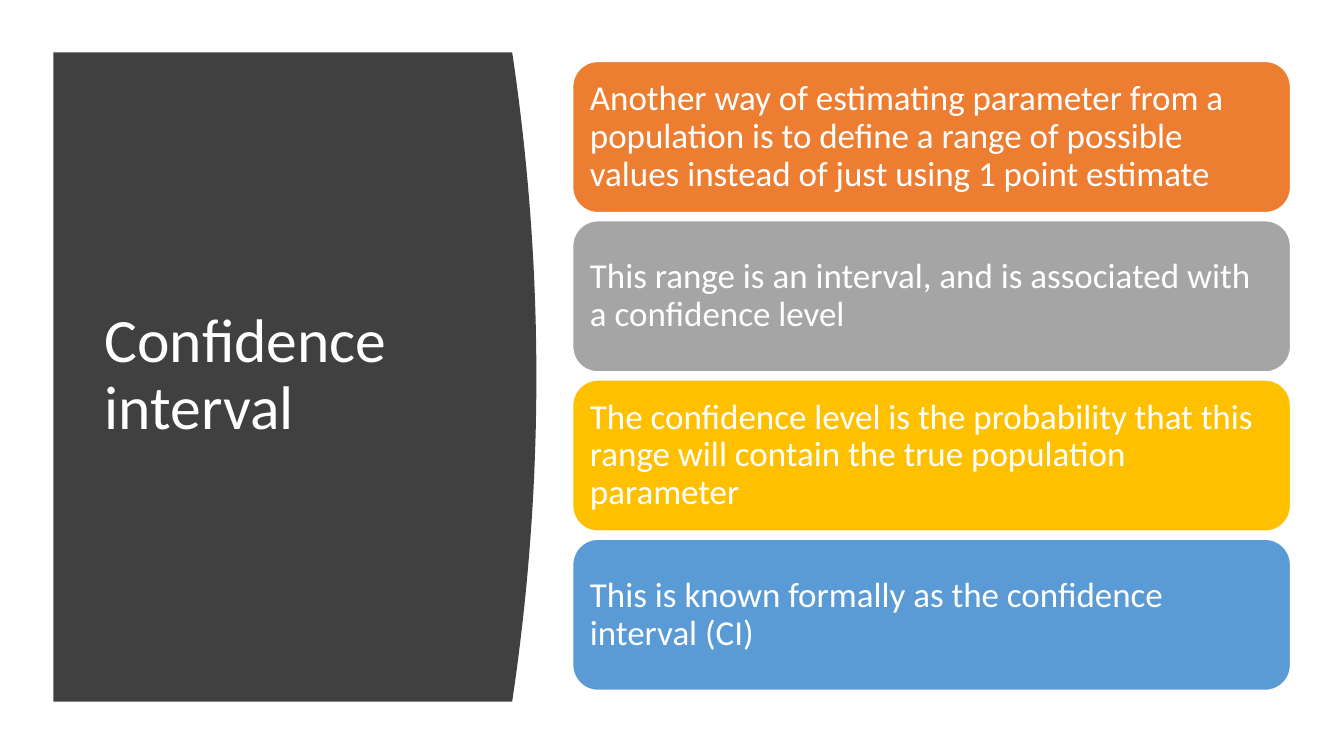
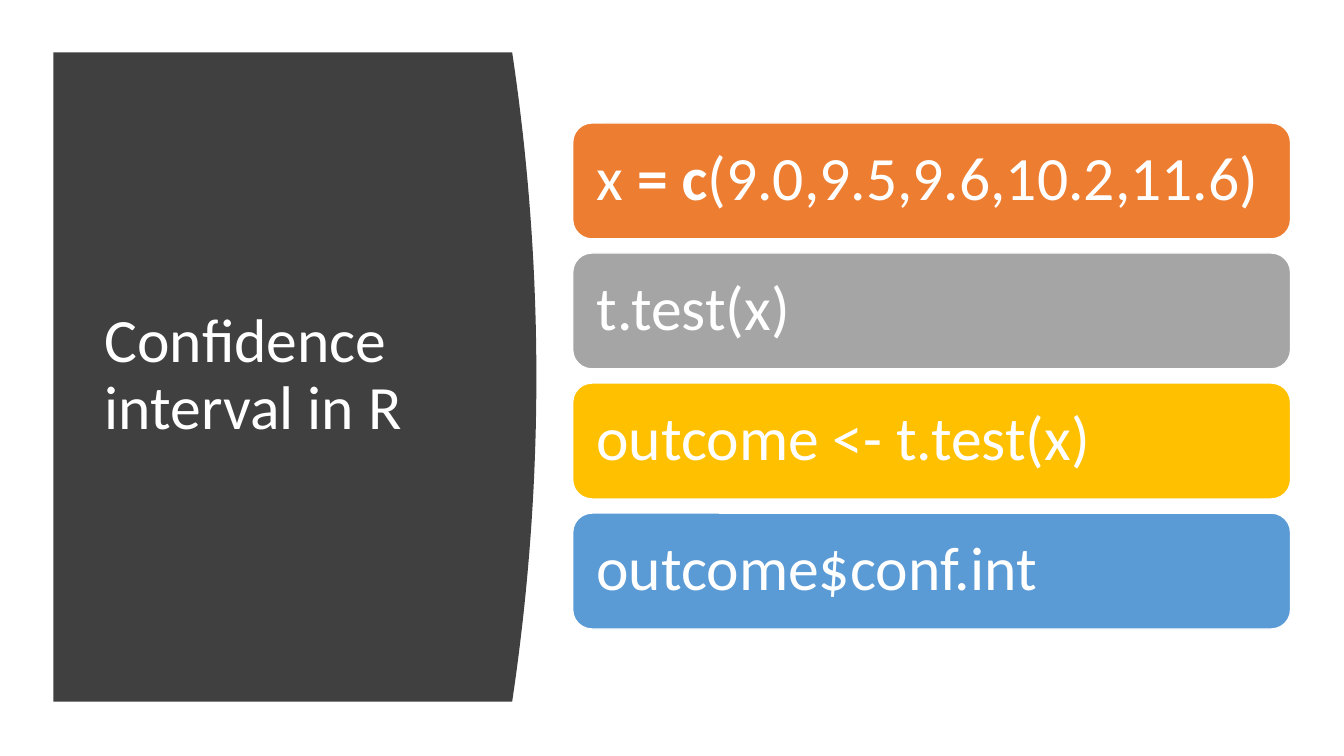
"""Build two slides on confidence intervals, each a curved title panel beside four cards."""
import dataclasses

import pptx
import pptx.dml.color
import pptx.enum.shapes
import pptx.enum.text
import pptx.util
from pptx.util import Inches


@dataclasses.dataclass(frozen=True)
class Theme:
    font: str = "Calibri"
    panel: str = "404040"
    light: str = "FFFFFF"
    cards: tuple = ("ED7D31", "A5A5A5", "FFC000", "5B9BD5")
    title_size: int = 44
    statement_size: int = 25
    code_size: int = 44


theme = Theme()

PANEL_LEFT, PANEL_TOP, PANEL_RIGHT, PANEL_BOTTOM = 0.53, 0.52, 5.08, 6.96
PANEL_BULGE = 0.24
CURVE_STEPS = 40
CARD_LEFT, CARD_WIDTH = 5.68, 7.12
CARDS_MIDDLE = 3.73

slides = [
    {
        "title": "Confidence interval",
        "size": theme.statement_size,
        "height": 1.5,
        "gap": 0.08,
        "margin": 0.1,
        "cards": [
            ["Another way of estimating parameter from a population is to define "
             "a range of possible values instead of just using 1 point estimate"],
            ["This range is an interval, and is associated with a confidence level"],
            ["The confidence level is the probability that this range will contain "
             "the true population parameter"],
            ["This is known formally as the confidence interval (CI)"],
        ],
        "bold": (),
    },
    {
        "title": "Confidence interval in R",
        "size": theme.code_size,
        "height": 1.15,
        "gap": 0.14,
        "margin": 0.18,
        "cards": [
            ["x ", "= c", "(9.0,9.5,9.6,10.2,11.6)"],
            ["t.test(x)"],
            ["outcome <- t.test(x)"],
            ["outcome$conf.int"],
        ],
        "bold": ("= c",),
    },
]


def paint(shape, color):
    shape.shadow.inherit = False
    shape.fill.solid()
    shape.fill.fore_color.rgb = pptx.dml.color.RGBColor.from_string(color)


def write(shape, pieces, size, margin, bold=()):
    frame = shape.text_frame
    frame.word_wrap = True
    frame.vertical_anchor = pptx.enum.text.MSO_ANCHOR.MIDDLE
    frame.margin_left = frame.margin_right = Inches(margin)
    frame.margin_top = frame.margin_bottom = Inches(margin)
    paragraph = frame.paragraphs[0]
    paragraph.alignment = pptx.enum.text.PP_ALIGN.LEFT
    paragraph.line_spacing = 0.9
    for piece in pieces:
        run = paragraph.add_run()
        run.text = piece
        run.font.name = theme.font
        run.font.size = pptx.util.Pt(size)
        run.font.bold = piece in bold
        run.font.color.rgb = pptx.dml.color.RGBColor.from_string(theme.light)


presentation = pptx.Presentation()
presentation.slide_width = Inches(13.33)
presentation.slide_height = Inches(7.5)

panel_height = PANEL_BOTTOM - PANEL_TOP
panel_edge = []
for step in range(CURVE_STEPS + 1):
    share = step / CURVE_STEPS
    bulge = PANEL_BULGE * 4 * share * (1 - share)
    panel_edge.append((Inches(PANEL_RIGHT + bulge), Inches(PANEL_TOP + panel_height * share)))
panel_edge.append((Inches(PANEL_LEFT), Inches(PANEL_BOTTOM)))

for content in slides:
    slide = presentation.slides.add_slide(presentation.slide_layouts[6])

    builder = slide.shapes.build_freeform(Inches(PANEL_LEFT), Inches(PANEL_TOP))
    builder.add_line_segments(panel_edge, close=True)
    panel = builder.convert_to_shape()
    paint(panel, theme.panel)
    panel.line.fill.background()

    title = slide.shapes.add_textbox(Inches(0.94), Inches(1.11), Inches(3.74), Inches(5.24))
    write(title, [content["title"]], theme.title_size, 0.1)

    pitch = content["height"] + content["gap"]
    count = len(content["cards"])
    first_top = CARDS_MIDDLE - (count * pitch - content["gap"]) / 2
    for index, (pieces, color) in enumerate(zip(content["cards"], theme.cards)):
        card = slide.shapes.add_shape(
            pptx.enum.shapes.MSO_SHAPE.ROUNDED_RECTANGLE,
            Inches(CARD_LEFT), Inches(first_top + index * pitch),
            Inches(CARD_WIDTH), Inches(content["height"]),
        )
        paint(card, color)
        card.line.color.rgb = pptx.dml.color.RGBColor.from_string(theme.light)
        card.line.width = pptx.util.Pt(1)
        write(card, pieces, content["size"], content["margin"], content["bold"])

presentation.save("out.pptx")
